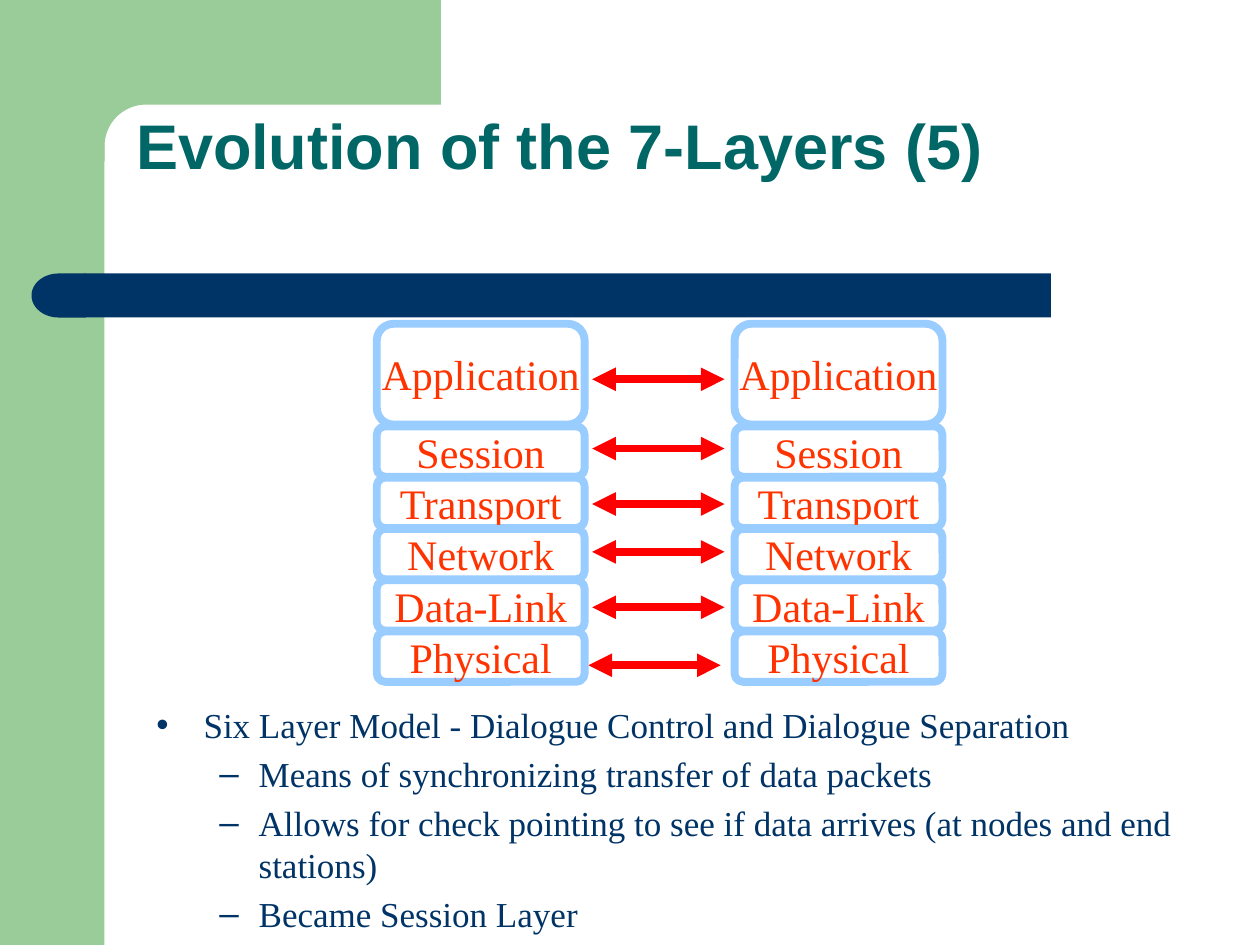
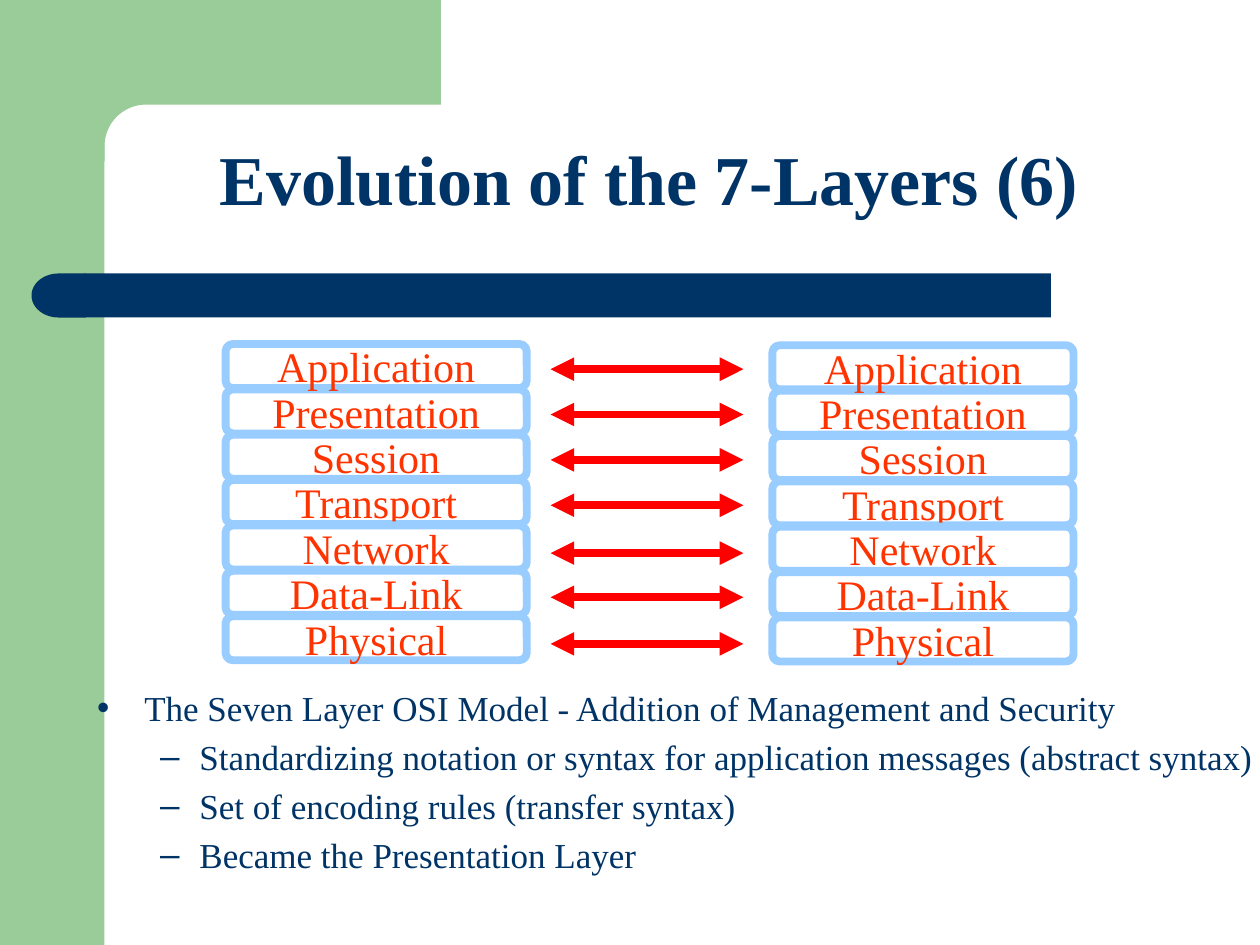
import math

import pptx
import pptx.util
import pptx.dml.color
import pptx.enum.shapes
import pptx.enum.text
import pptx.oxml
from pptx.util import Inches

COLORS = {
    "sage": "99CC99",
    "navy": "003366",
    "teal": "006666",
    "white": "FFFFFF",
    "sky": "99CCFF",
    "orange": "FF3300",
    "red": "FF0000",
}
SERIF = "Times New Roman"
SANS = "Arial"
SHAPES = pptx.enum.shapes.MSO_SHAPE
ALIGN = pptx.enum.text.PP_ALIGN
MIDDLE = pptx.enum.text.MSO_ANCHOR.MIDDLE

SLIDES = [
    {
        "title": "Evolution of the 7-Layers (5)",
        "title_at": (0.98, 0.68, 8.5, 1),
        "title_style": (SANS, 36, "teal", True),
        "title_align": ALIGN.LEFT,
        "title_spacing": 0.9,
        "body": [
            (0, "Six Layer Model - Dialogue Control and Dialogue Separation"),
            (1, "Means of synchronizing transfer of data packets"),
            (1, "Allows for check pointing to see if data arrives (at nodes and end stations)"),
            (1, "Became Session Layer"),
        ],
        "body_at": (1.14, 5.53, 8.34, 1.97),
        "body_fill": "white",
        "layers": [("Application", 2), ("Session", 1), ("Transport", 1),
                   ("Network", 1), ("Data-Link", 1), ("Physical", 1)],
        "stacks": [(2.99, 2.57), (5.83, 2.57)],
        "layer_width": 1.65,
        "layer_height": 0.4,
        "layer_gap": 0.007,
        "arrow_span": (4.7, 5.75),
        "arrows": [(3.01, 0), (3.56, 0), (4, 0), (4.38, 0), (4.82, 0), (5.28, -0.03)],
    },
    {
        "title": "Evolution of the 7-Layers (6)",
        "title_at": (0.9, 0.91, 8.5, 1),
        "title_style": (SERIF, 40, "navy", True),
        "title_align": ALIGN.CENTER,
        "title_spacing": 1.0,
        "body": [
            (0, "The Seven Layer OSI Model - Addition of Management and Security"),
            (1, "Standardizing notation or syntax for application messages (abstract syntax)"),
            (1, "Set of encoding rules (transfer syntax)"),
            (1, "Became the Presentation Layer"),
        ],
        "body_at": (0.67, 5.4, 9.65, 2.28),
        "body_fill": None,
        "layers": [("Application", 1), ("Presentation", 1), ("Session", 1), ("Transport", 1),
                   ("Network", 1), ("Data-Link", 1), ("Physical", 1)],
        "stacks": [(6.13, 2.74), (1.79, 2.73)],
        "layer_width": 2.39,
        "layer_height": 0.35,
        "layer_gap": 0.01,
        "arrow_span": (4.37, 5.9),
        "arrows": [(y, 0) for y in (2.93, 3.29, 3.65, 4.01, 4.39, 4.74, 5.11)],
    },
]


def rgb(name):
    return pptx.dml.color.RGBColor.from_string(COLORS[name])


def inches(values):
    return [Inches(value) for value in values]


def place(shape, box):
    shape.left, shape.top, shape.width, shape.height = inches(box)


def paint(shape, fill):
    shape.shadow.inherit = False
    shape.fill.solid()
    shape.fill.fore_color.rgb = rgb(fill)
    shape.line.fill.background()
    return shape


def style(paragraph, font_name, size, color, bold=False):
    for span in paragraph.runs:
        span.font.name = font_name
        span.font.size = pptx.util.Pt(size)
        span.font.color.rgb = rgb(color)
        span.font.bold = bold


def corner_outline():
    center, radius = 1.16, 0.33
    angles = [math.radians(90 * step / 16) for step in range(17)]
    curve = [(center - radius * math.sin(angle), center - radius * math.cos(angle))
             for angle in angles]
    return [(3.5, 0), (3.5, 0.83), *curve, (0.83, 1.28), (0.5, 1.28), (0.5, 0)]


def add_master_bands(deck, page):
    def band(kind, box, fill):
        return paint(page.shapes.add_shape(kind, *inches(box)), fill)

    sidebar = band(SHAPES.RECTANGLE, (0, 0, 0.83, 7.5), "sage")
    points = [tuple(inches(point)) for point in corner_outline()]
    builder = page.shapes.build_freeform(*points[0])
    builder.add_line_segments(points[1:], close=True)
    corner = paint(builder.convert_to_shape(), "sage")
    bar = band(SHAPES.RECTANGLE, (0.67, 2.17, 7.67, 0.35), "navy")
    bar_cap = band(SHAPES.FLOWCHART_DELAY, (0.25, 2.17, 0.43, 0.35), "navy")
    bar_cap.rotation = 180
    for number, shape in enumerate((sidebar, corner, bar, bar_cap), start=101):
        shape.element.xpath(".//p:cNvPr")[0].set("id", str(number))
        deck.slide_master.shapes.element.append(shape.element)


def fill_title(page, content):
    title = page.shapes.title
    place(title, content["title_at"])
    frame = title.text_frame
    frame.text = content["title"]
    frame.auto_size = pptx.enum.text.MSO_AUTO_SIZE.NONE
    frame.vertical_anchor = MIDDLE
    heading = frame.paragraphs[0]
    heading.alignment = content["title_align"]
    heading.line_spacing = content["title_spacing"]
    style(heading, *content["title_style"])


def fill_body(page, content):
    body = page.placeholders[1]
    place(body, content["body_at"])
    if content["body_fill"]:
        body.fill.solid()
        body.fill.fore_color.rgb = rgb(content["body_fill"])
    frame = body.text_frame
    frame.auto_size = pptx.enum.text.MSO_AUTO_SIZE.NONE
    for index, (level, text) in enumerate(content["body"]):
        para = frame.add_paragraph() if index else frame.paragraphs[0]
        para.text = text
        para.level = level
        para.space_before = pptx.util.Pt(4 if index else 0)
        style(para, SERIF, 20, "navy")


def add_layer(page, name, box):
    layer = paint(page.shapes.add_shape(SHAPES.ROUNDED_RECTANGLE, *inches(box)), "white")
    layer.line.color.rgb = rgb("sky")
    layer.line.width = pptx.util.Pt(4.5)
    frame = layer.text_frame
    frame.text = name
    frame.word_wrap = False
    frame.vertical_anchor = MIDDLE
    frame.paragraphs[0].alignment = ALIGN.CENTER
    style(frame.paragraphs[0], SERIF, 24, "orange")


def add_stack(page, content, left, top):
    placed = []
    for name, units in content["layers"]:
        height = units * content["layer_height"]
        placed.append((name, (left, top, content["layer_width"], height)))
        top += height + units * content["layer_gap"]
    for name, box in placed[1:] + placed[:1]:
        add_layer(page, name, box)


def add_arrow(page, start, end, y):
    arrow = page.shapes.add_connector(
        pptx.enum.shapes.MSO_CONNECTOR.STRAIGHT, *inches((start, y, end, y)))
    arrow.line.color.rgb = rgb("red")
    arrow.line.width = pptx.util.Pt(4.5)
    line = arrow.line._get_or_add_ln()
    namespace = 'xmlns:a="http://schemas.openxmlformats.org/drawingml/2006/main"'
    for tag in ("headEnd", "tailEnd"):
        line.append(pptx.oxml.parse_xml(f'<a:{tag} {namespace} type="triangle"/>'))
    arrow.element.spPr.append(pptx.oxml.parse_xml(f"<a:effectLst {namespace}/>"))


def main():
    deck = pptx.Presentation()
    deck.slide_width, deck.slide_height = inches((10, 7.5))
    pages = [deck.slides.add_slide(deck.slide_layouts[1]) for _ in SLIDES]
    add_master_bands(deck, pages[0])
    for page, content in zip(pages, SLIDES):
        fill_title(page, content)
        fill_body(page, content)
        start, end = content["arrow_span"]
        for y, shift in content["arrows"]:
            add_arrow(page, start + shift, end + shift, y)
        for left, top in content["stacks"]:
            add_stack(page, content, left, top)
    deck.save("out.pptx")


if __name__ == "__main__":
    main()
